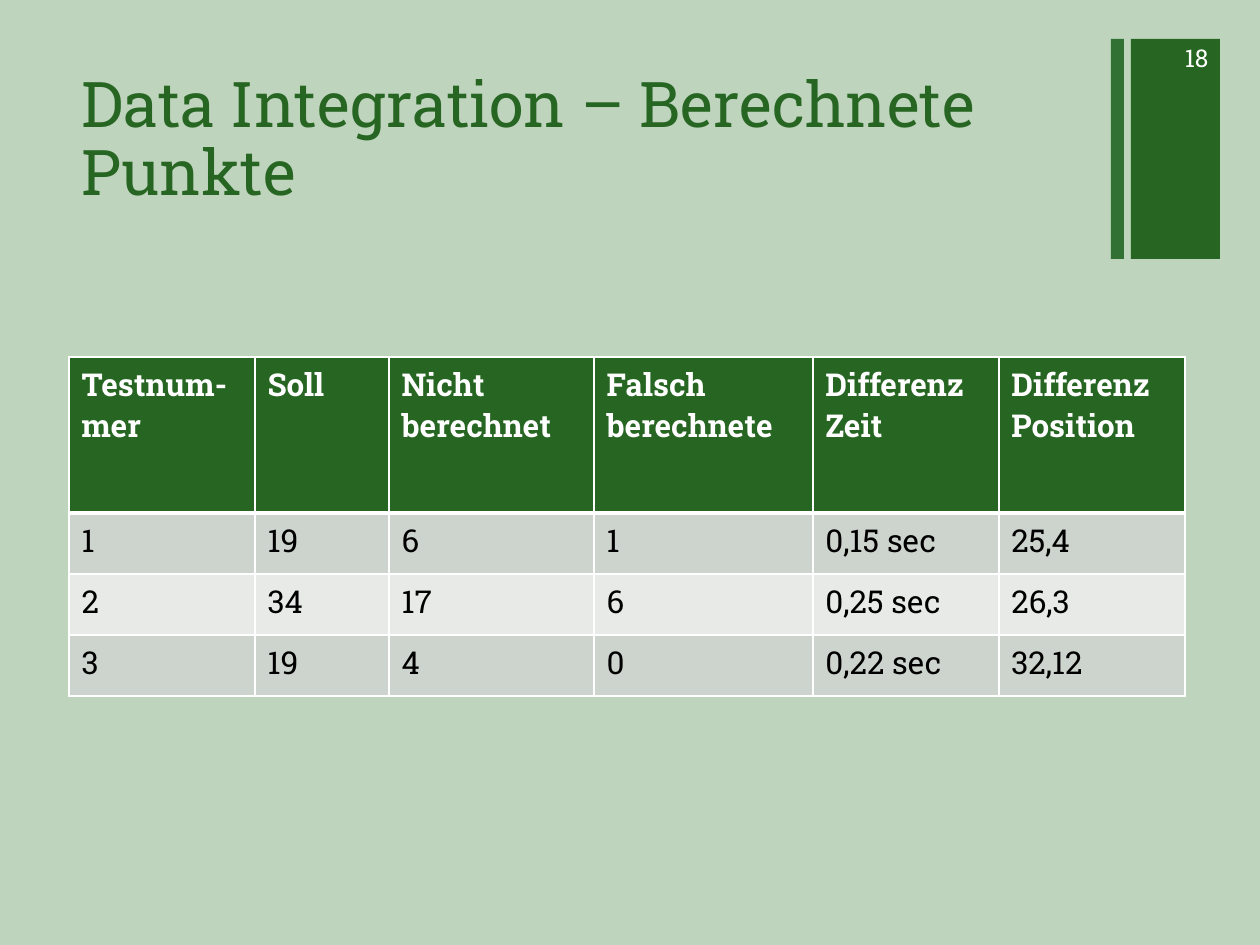
from lxml import etree
from pptx import Presentation
from pptx.dml.color import RGBColor
from pptx.enum.shapes import MSO_SHAPE
from pptx.enum.text import MSO_ANCHOR, PP_ALIGN
from pptx.oxml.ns import qn
from pptx.util import Emu, Pt

RECTANGLE = MSO_SHAPE.RECTANGLE
TOP, MIDDLE = MSO_ANCHOR.TOP, MSO_ANCHOR.MIDDLE
LEFT, RIGHT = PP_ALIGN.LEFT, PP_ALIGN.RIGHT

EMU_PER_PIXEL = 914400 / 126
TITLE_ONLY = 5
FONT = "Roboto Slab"
COLORS = {
    "background": "BED4BD",
    "green": "276622",
    "stripe": "317134",
    "band_dark": "CDD3CD",
    "band_light": "E8EAE8",
    "white": "FFFFFF",
    "black": "000000",
}

COLUMN_WIDTHS = [186, 134, 205, 219, 186, 186]
ROW_HEIGHTS = [156, 61, 61, 61]
TABLE_ROWS = [
    ["Testnum-mer", "Soll", "Nicht berechnet", "Falsch berechnete",
     "Differenz Zeit", "Differenz Position"],
    ["1", "19", "6", "1", "0,15 sec", "25,4"],
    ["2", "34", "17", "6", "0,25 sec", "26,3"],
    ["3", "19", "4", "0", "0,22 sec", "32,12"],
]


def px(value):
    return Emu(round(value * EMU_PER_PIXEL))


def color(name):
    return RGBColor.from_string(COLORS[name])


class SlideBuilder:
    def __init__(self, presentation):
        self.slide = presentation.slides.add_slide(
            presentation.slide_layouts[TITLE_ONLY])
        self.fill(self.slide.background, "background")

    def fill(self, target, color_name):
        target.fill.solid()
        target.fill.fore_color.rgb = color(color_name)

    def set_text(self, text_frame, text, size, color_name, align=LEFT, bold=False):
        text_frame.text = text
        paragraph = text_frame.paragraphs[0]
        paragraph.alignment = align
        font = paragraph.runs[0].font
        font.name, font.size, font.bold = FONT, Pt(size), bold
        font.color.rgb = color(color_name)
        return paragraph

    def title(self, text, left, top, width, height):
        shape = self.slide.shapes.title
        shape.left, shape.top = px(left), px(top)
        shape.width, shape.height = px(width), px(height)
        shape.text_frame.vertical_anchor = TOP
        paragraph = self.set_text(shape.text_frame, text, 36, "green")
        paragraph.line_spacing = 0.9

    def rectangle(self, color_name, left, top, width, height):
        shape = self.slide.shapes.add_shape(
            RECTANGLE, px(left), px(top), px(width), px(height))
        shape.shadow.inherit = False
        self.fill(shape, color_name)
        shape.line.fill.background()

    def label(self, text, left, top, width, height):
        shape = self.slide.shapes.add_textbox(
            px(left), px(top), px(width), px(height))
        shape.text_frame.word_wrap = True
        shape.text_frame.vertical_anchor = MIDDLE
        self.set_text(shape.text_frame, text, 14, "white", RIGHT)

    def borders(self, cell, top_width, bottom_width):
        properties = cell._tc.get_or_add_tcPr()
        widths = {"lnL": 1, "lnR": 1, "lnT": top_width, "lnB": bottom_width}
        for tag, width in widths.items():
            line = etree.SubElement(properties, qn(f"a:{tag}"), w=str(Pt(width)))
            solid = etree.SubElement(line, qn("a:solidFill"))
            etree.SubElement(solid, qn("a:srgbClr"), val=COLORS["white"])

    def table(self, rows, left, top, column_widths, row_heights):
        table = self.slide.shapes.add_table(
            len(rows), len(column_widths), px(left), px(top),
            px(sum(column_widths)), px(sum(row_heights))).table
        for column, width in zip(table.columns, column_widths):
            column.width = px(width)
        for row, height in zip(table.rows, row_heights):
            row.height = px(height)
        for row_index, texts in enumerate(rows):
            header = row_index == 0
            band = "band_dark" if row_index % 2 else "band_light"
            for column_index, text in enumerate(texts):
                cell = table.cell(row_index, column_index)
                # The header is set off by a thicker line below it
                self.borders(cell, 3 if row_index == 1 else 1, 3 if header else 1)
                self.fill(cell, "green" if header else band)
                self.set_text(cell.text_frame, text, 18,
                              "white" if header else "black", bold=header)


def main():
    presentation = Presentation()
    presentation.slide_width, presentation.slide_height = px(1260), px(945)
    builder = SlideBuilder(presentation)

    # Corner decoration with the slide number
    builder.rectangle("green", 1131, 39, 89, 220)
    builder.rectangle("stripe", 1111, 39, 13, 220)
    builder.label("18", 1144, 33, 77, 50)

    # Title
    builder.title("Data Integration – Berechnete Punkte", 69, 67, 1041, 154)

    # Test results
    builder.table(TABLE_ROWS, 69, 357, COLUMN_WIDTHS, ROW_HEIGHTS)

    presentation.save("out.pptx")


if __name__ == "__main__":
    main()
